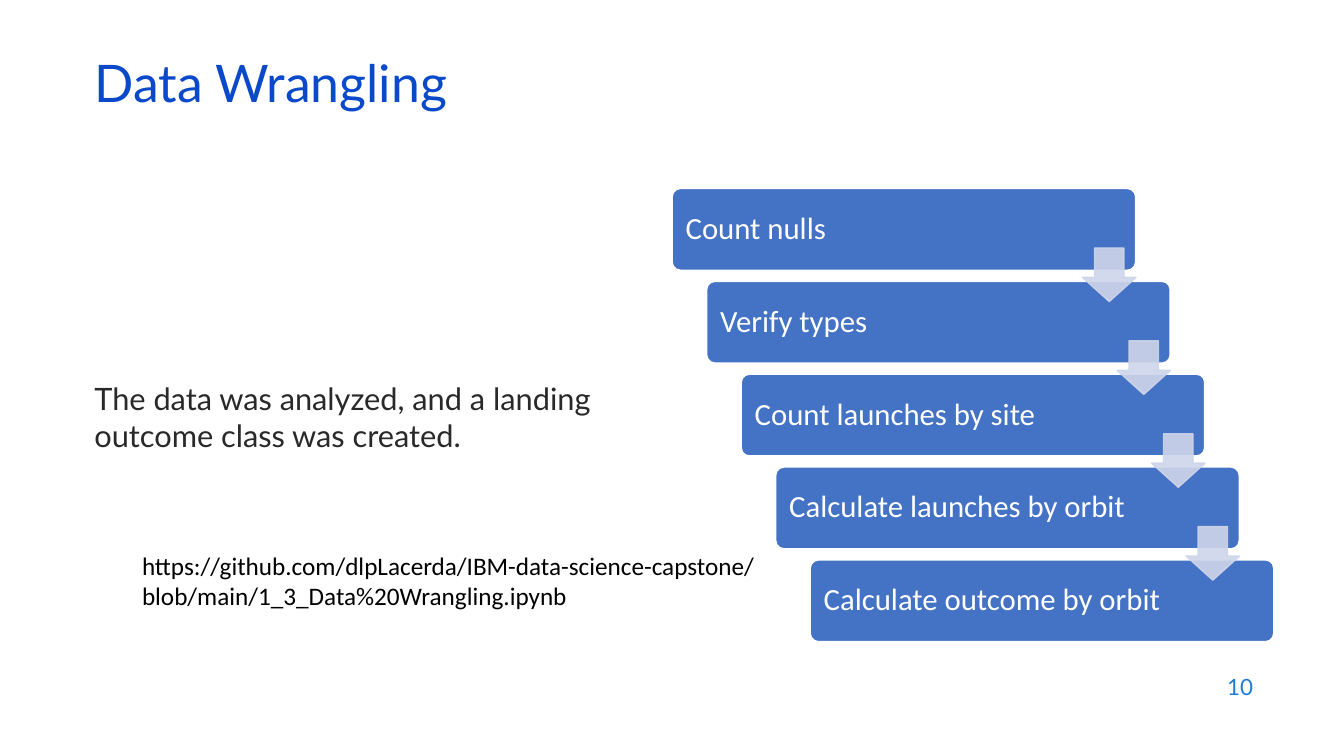
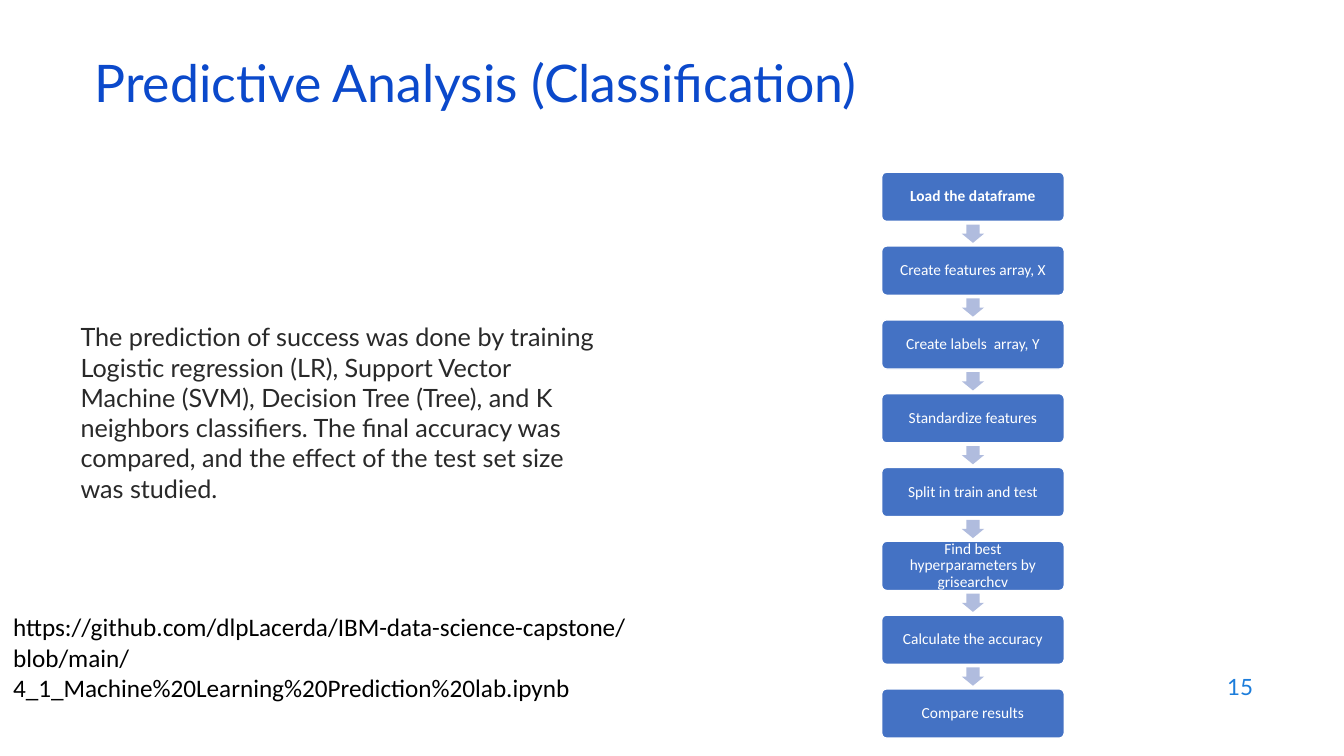
from lxml import etree
from pptx import Presentation
from pptx.dml.color import RGBColor
from pptx.enum.shapes import MSO_SHAPE
from pptx.enum.text import MSO_ANCHOR, MSO_AUTO_SIZE, PP_ALIGN
from pptx.oxml.ns import qn
from pptx.util import Cm, Pt

ROUND, DOWN = MSO_SHAPE.ROUNDED_RECTANGLE, MSO_SHAPE.DOWN_ARROW
TOP, MIDDLE = MSO_ANCHOR.TOP, MSO_ANCHOR.MIDDLE
LEFT, CENTER, RIGHT = PP_ALIGN.LEFT, PP_ALIGN.CENTER, PP_ALIGN.RIGHT

WHITE, BLUE, INK, BLACK = "FFFFFF", "4472C4", "292929", "000000"
PALE, SOFT = "CFD5EA", "B0BCDE"

TITLE = dict(font="Lato", size=37, color="0B49CB", align=LEFT, anchor=MIDDLE, spacing=0.7)
NUMBER = dict(font="Lato", size=16, color="1C7DDB", align=RIGHT, anchor=MIDDLE)
BODY = dict(font="Lato", size=22, color=INK)
NOTE = dict(BODY, size=18)
LINK = dict(font="Calibri", size=18, color=BLACK)
STEP = dict(font="Calibri", size=22, color=WHITE, anchor=MIDDLE, spacing=0.9, inset=0.28)
SMALL = dict(STEP, size=11, align=CENTER, inset=0.15)


def write(shape, text, font, size, color, align=LEFT, anchor=TOP,
          spacing=1.0, inset=None, bold=False):
    """Fill a shape with one formatted paragraph; inset is in cm."""
    frame = shape.text_frame
    frame.text = text
    frame.word_wrap = True
    frame.auto_size = MSO_AUTO_SIZE.NONE
    frame.vertical_anchor = anchor
    if inset is not None:
        for side in ("left", "right", "top", "bottom"):
            setattr(frame, f"margin_{side}", Cm(inset))
    para = frame.paragraphs[0]
    para.alignment = align
    para.line_spacing = spacing
    style = dict(name=font, size=Pt(size), bold=bold)
    for key, value in style.items():
        setattr(para.font, key, value)
    para.font.color.rgb = RGBColor.from_string(color)


def draw(slide, kind, box, adjust, fill, line=None, alpha=None):
    """Add a preset shape; box is in cm, alpha in percent."""
    shape = slide.shapes.add_shape(kind, *map(Cm, box))
    shape.shadow.inherit = False
    for i, value in enumerate(adjust):
        shape.adjustments[i] = value
    shape.fill.solid()
    shape.fill.fore_color.rgb = RGBColor.from_string(fill)
    if line:
        shape.line.color.rgb = RGBColor.from_string(line)
        shape.line.width = Pt(1)
    else:
        shape.line.fill.background()
    if alpha:
        for tint in shape.element.spPr.iter(qn("a:srgbClr")):
            etree.SubElement(tint, qn("a:alpha")).set("val", str(alpha * 1000))
    return shape


prs = Presentation()
prs.slide_width, prs.slide_height = Cm(33.87), Cm(19.05)
layout = prs.slide_layouts[5]

pages = [
    ("Data Wrangling", "10", [
        ("The data was analyzed, and a landing outcome class was created.",
         (2.13, 9.45, 13.31, 2.41), BODY),
        ("https://github.com/dlpLacerda/IBM-data-science-capstone/blob/main/1_3_Data%20Wrangling.ipynb",
         (3.33, 13.74, 16.94, 1.8), LINK),
    ]),
    ("Predictive Analysis (Classification)", "15", [
        ("The prediction of success was done by training Logistic regression (LR), "
         "Support Vector Machine (SVM), Decision Tree (Tree), and K neighbors classifiers. "
         "The final accuracy was compared, and the effect of the test set size was studied.",
         (1.78, 7.98, 13.54, 4.88), NOTE),
        ("https://github.com/dlpLacerda/IBM-data-science-capstone/blob/main/"
         "4_1_Machine%20Learning%20Prediction%20lab.ipynb",
         (0.08, 15.29, 16.94, 2.57), LINK),
    ]),
]

for name, number, texts in pages:
    slide = prs.slides.add_slide(layout)
    title = slide.shapes.title
    title.left, title.top, title.width, title.height = map(Cm, (2.13, 1.5, 29.21, 1.52))
    write(title, name, **TITLE)
    for text, box, style in texts + [(number, (24.21, 16.74, 7.62, 1.12), NUMBER)]:
        write(slide.shapes.add_textbox(*map(Cm, box)), text, **style)

stairs, chain = prs.slides

# Staircase of steps, arrows on top of the boxes
steps = ["Count nulls", "Verify types", "Count launches by site",
         "Calculate launches by orbit", "Calculate outcome by orbit"]
spots = [(16.94 + 0.87 * i, 4.75 + 2.34 * i) for i in range(len(steps))]
for text, (x, y) in zip(steps, spots):
    write(draw(stairs, ROUND, (x, y, 11.68, 2.06), [0.1], BLUE, WHITE), text, **STEP)
for x, y in spots[:-1]:
    draw(stairs, DOWN, (x + 10.34, y + 1.5, 1.35, 1.35), [0.55, 0.45], PALE, PALE, 90)

# Vertical chain of steps
tasks = ["Load the dataframe", "Create features array, X", "Create labels  array, Y",
         "Standardize features", "Split in train and test",
         "Find best hyperparameters by grisearchcv", "Calculate the accuracy",
         "Compare results"]
left, width, high, wide = 22.22, 4.6, 1.24, 0.56
for i, text in enumerate(tasks):
    y = 4.34 + 1.86 * i
    task = draw(chain, ROUND, (left, y, width, high), [0.1], BLUE, WHITE)
    write(task, text, bold=i == 0, **SMALL)
    if i < len(tasks) - 1:
        draw(chain, DOWN, (left + (width - wide) / 2, y + 1.32, wide, 0.46), [0.6, 0.5], SOFT)

prs.save("out.pptx")
